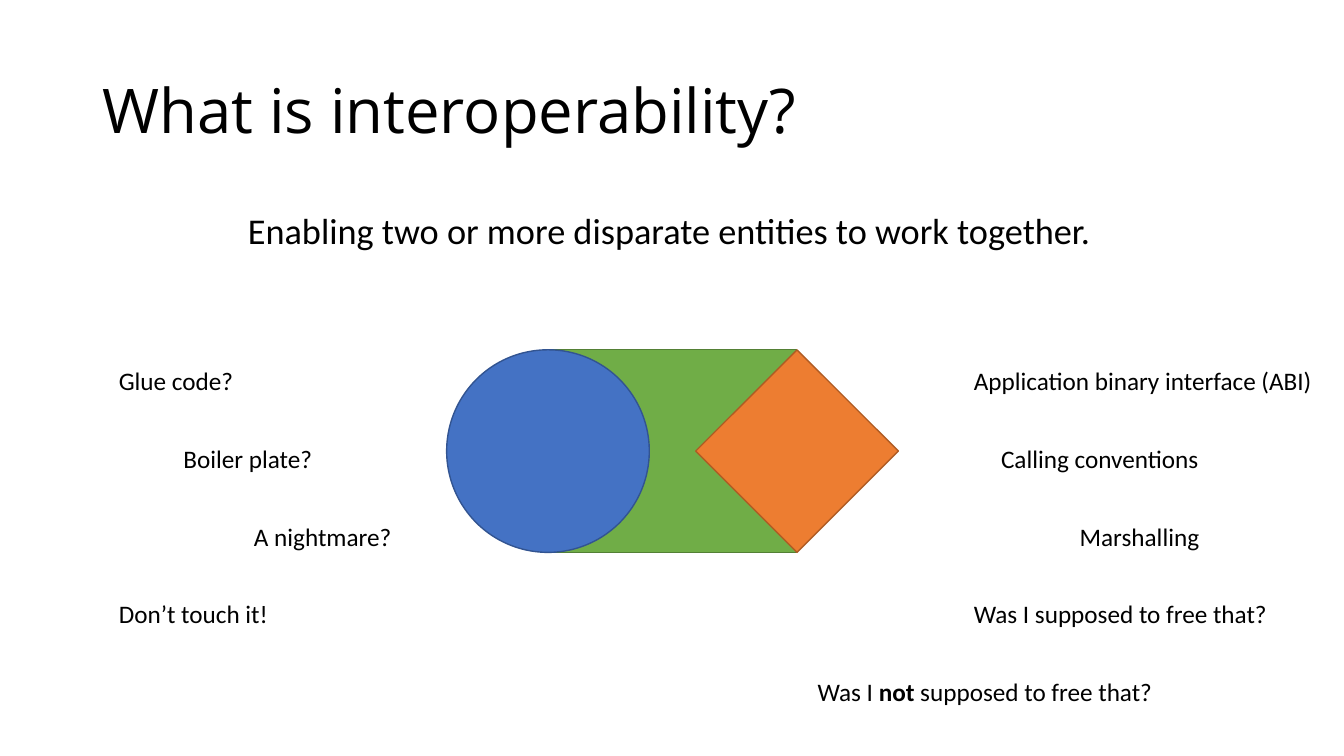
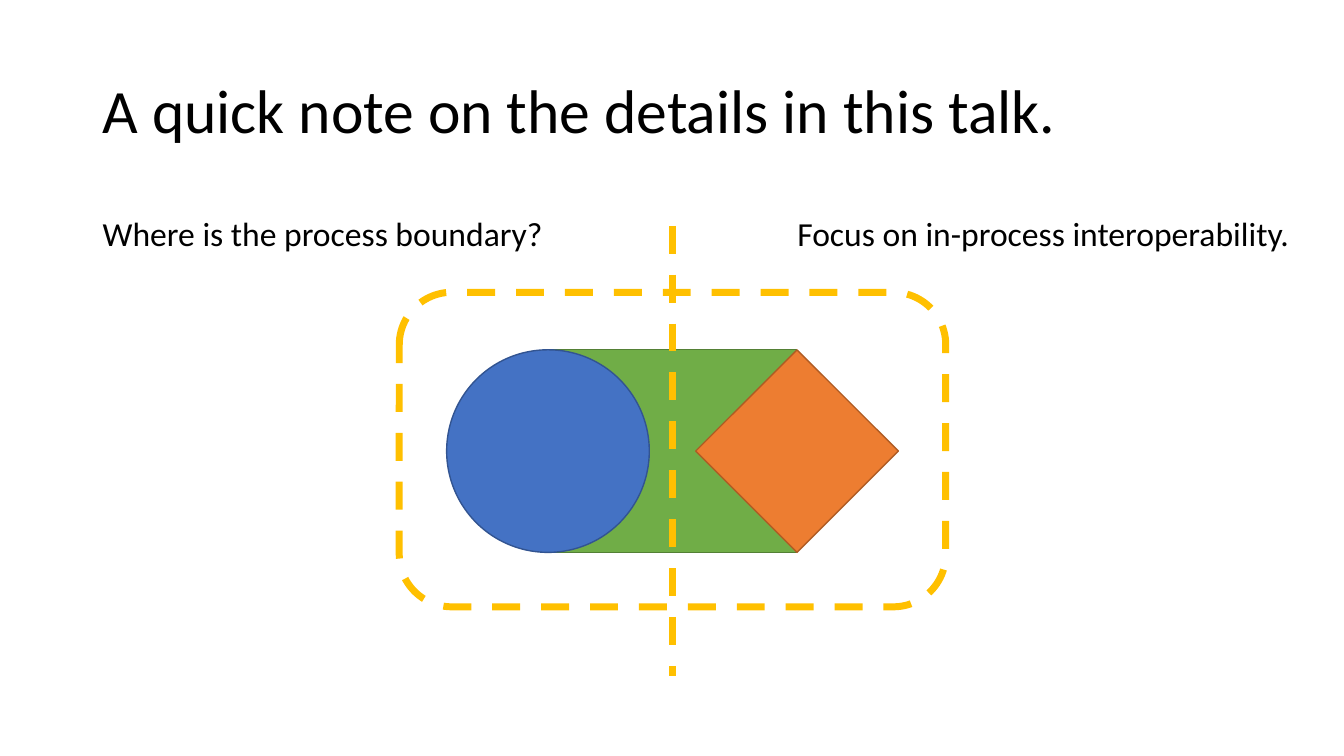
from dataclasses import dataclass
from lxml.etree import SubElement
from pptx import Presentation
from pptx.dml.color import RGBColor as RGB
from pptx.enum.dml import MSO_LINE_DASH_STYLE as DASH
from pptx.enum.shapes import MSO_CONNECTOR as CONN, MSO_SHAPE as SHAPE
from pptx.enum.text import MSO_ANCHOR as ANCHOR
from pptx.oxml.ns import qn
from pptx.util import Inches, Pt


@dataclass(frozen=True)
class Theme:
    """Colours, fonts and type sizes shared by the slides."""
    text: RGB = RGB.from_string("000000")
    bridge: tuple = ("70AD47", "538035")
    circle: tuple = ("4472C4", "325491")
    diamond: tuple = ("ED7D31", "AF5C24")
    boundary: RGB = RGB.from_string("FFC000")
    font: str = "Calibri"
    alt_font: str = "Open Sans"
    title: float = 44
    lead: float = 25.9
    heading: float = 24
    label: float = 18


T = Theme()
ROW_TOP, ROW_STEP = 3.58, 0.77


def add_text(s, box, runs, size, font=T.font, wrap=False):
    """Add a one-paragraph text box from (text, bold) runs and return it."""
    sp = s.shapes.add_textbox(*map(Inches, box))
    sp.text_frame.word_wrap = wrap
    p = sp.text_frame.paragraphs[0]
    p.font.size, p.font.name = Pt(size), font
    p.font.color.rgb = T.text
    for text, bold in runs:
        r = p.add_run()
        r.text = text
        if bold:
            r.font.bold = True
    return sp


def add_title(s, text, font=T.font):
    """Add the slide title."""
    sp = add_text(s, (0.92, 0.4, 11.5, 1.45), [(text, False)], T.title, font, True)
    sp.text_frame.vertical_anchor = ANCHOR.MIDDLE
    sp.text_frame.paragraphs[0].line_spacing = 0.9


def add_lead(s, text):
    """Add the lead sentence below the title."""
    sp = add_text(s, (2.36, 2.07, 8.61, 0.59), [(text, False)], T.lead, wrap=True)
    p = sp.text_frame.paragraphs[0]
    p.line_spacing, p.space_before = 0.9, Pt(10)


def add_label(s, left, width, row, *runs):
    """Add a small label on a numbered row."""
    add_text(s, (left, ROW_TOP + row * ROW_STEP, width, 0.4), runs, T.label)


def add_bridge(shapes):
    """Draw a circle and a diamond joined by a rectangle."""
    for kind, left, width, (fill, line) in (
        (SHAPE.RECTANGLE, 5.39, 2.51, T.bridge),
        (SHAPE.FLOWCHART_CONNECTOR, 4.43, 2.01, T.circle),
        (SHAPE.DIAMOND, 6.9, 2.01, T.diamond),
    ):
        sp = shapes.add_shape(kind, *map(Inches, (left, 3.47, width, 2.01)))
        sp.shadow.inherit = False
        sp.fill.solid()
        sp.fill.fore_color.rgb = RGB.from_string(fill)
        sp.line.color.rgb = RGB.from_string(line)
        sp.line.width = Pt(1)


def style_boundary(line):
    """Give a line the dashed boundary style."""
    line.color.rgb = T.boundary
    line.width = Pt(5)
    line.dash_style = DASH.DASH


def add_boundaries(s):
    """Draw the dashed divider and the dashed frame."""
    divider = s.shapes.add_connector(
        CONN.STRAIGHT, *map(Inches, (6.67, 2.24, 6.67, 6.71)))
    style_boundary(divider.line)
    SubElement(divider._element.spPr, qn("a:effectLst"))
    frame = s.shapes.add_shape(
        SHAPE.ROUNDED_RECTANGLE, *map(Inches, (3.96, 2.9, 5.42, 3.12)))
    frame.shadow.inherit = False
    frame.fill.background()
    style_boundary(frame.line)


def build_definition(s):
    """Build the slide that defines interoperability."""
    add_title(s, "What is interoperability?", T.alt_font)
    add_bridge(s.shapes)
    for left, width, row, text in (
        (1.08, 1.39, 0, "Glue code?"),
        (1.72, 1.49, 1, "Boiler plate?"),
        (2.42, 1.58, 2, "A nightmare?"),
        (1.08, 1.72, 3, "Don’t touch it!"),
        (9.56, 3.6, 0, "Application binary interface (ABI)"),
        (9.83, 2.18, 1, "Calling conventions"),
        (10.61, 1.4, 2, "Marshalling"),
        (9.56, 3.14, 3, "Was I supposed to free that?"),
    ):
        add_label(s, left, width, row, (text, False))
    add_label(s, 8.01, 3.55, 4, ("Was I ", False), ("not", True),
              (" supposed to free that?", False))
    add_lead(s, "Enabling two or more disparate entities to work together.")


def build_scope(s):
    """Build the slide on the process boundary."""
    add_title(s, "A quick note on the details in this talk.")
    add_bridge(s.shapes.add_group_shape().shapes)
    add_boundaries(s)
    for left, width, text in (
        (0.92, 4.61, "Where is the process boundary?"),
        (7.81, 5.13, "Focus on in-process interoperability."),
    ):
        add_text(s, (left, 2.06, width, 0.5), [(text, False)], T.heading)


def main():
    """Build and save the presentation."""
    prs = Presentation()
    prs.slide_width, prs.slide_height = Inches(13.33), Inches(7.5)
    for build in (build_definition, build_scope):
        build(prs.slides.add_slide(prs.slide_layouts[6]))
    prs.save("out.pptx")


if __name__ == "__main__":
    main()
